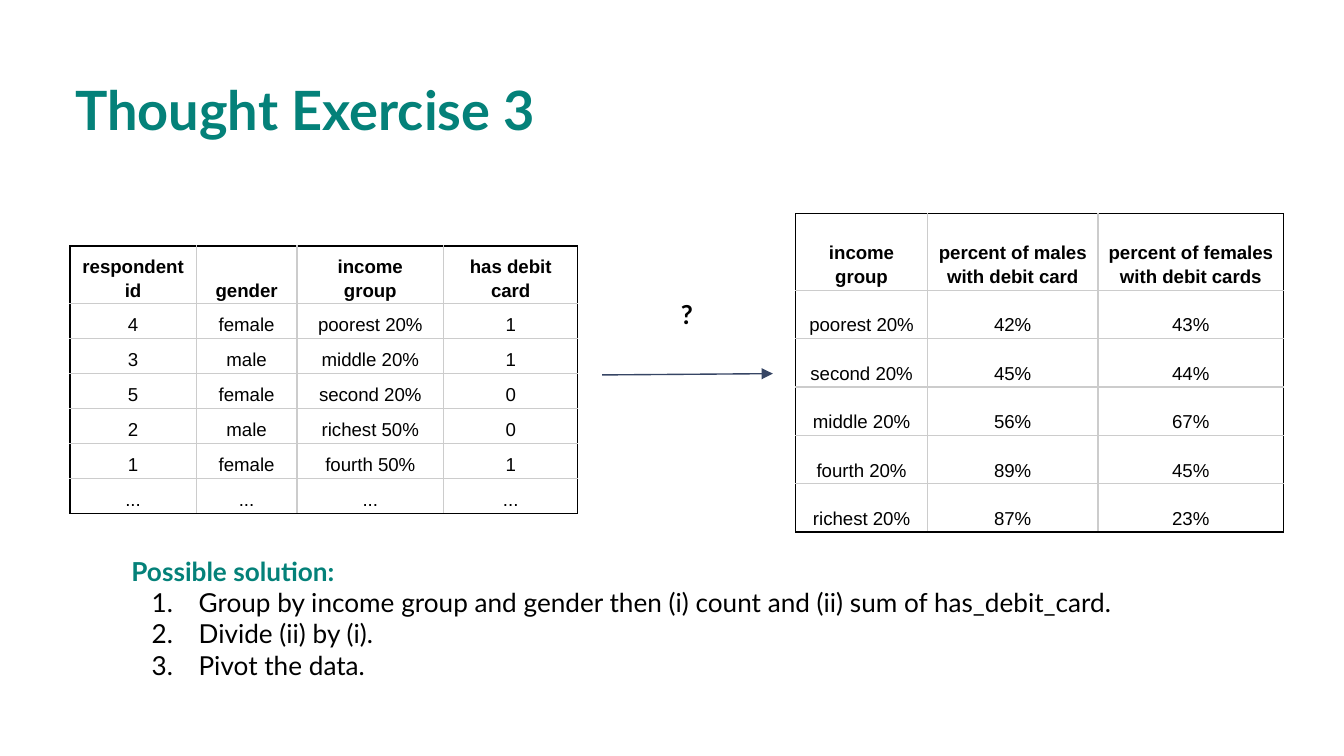
"""Build the Thought Exercise 3 slide: two tables, an arrow and a solution."""
import lxml.etree
import pptx
import pptx.dml.color
import pptx.enum.shapes
import pptx.enum.text
import pptx.oxml.ns
import pptx.util

Inches = pptx.util.Inches
Pt = pptx.util.Pt
ALIGN = pptx.enum.text.PP_ALIGN
ANCHOR = pptx.enum.text.MSO_ANCHOR

THEME = {
    "teal": "048179", "black": "000000", "grid": "CCCCCC", "arrow": "364564",
    "head_font": "Lato", "table_font": "Arial",
    "title": 29, "body": 14, "cell": 10, "line": 0.75,
}
SLIDE_WIDTH = 10
SLIDE_HEIGHT = SLIDE_WIDTH * 9 / 16
TITLE = "Thought Exercise 3"
TABLES = [
    {
        "at": (0.52, 1.83), "cols": [0.94, 0.75, 1.09, 1], "heights": (0.43, 0.26),
        "rows": [
            ("respondent id", "gender", "income\ngroup", "has debit\ncard"),
            ("4", "female", "poorest 20%", "1"),
            ("3", "male", "middle 20%", "1"),
            ("5", "female", "second 20%", "0"),
            ("2", "male", "richest 50%", "0"),
            ("1", "female", "fourth 50%", "1"),
            ("...", "...", "...", "..."),
        ],
    },
    {
        "at": (5.92, 1.59), "cols": [0.98, 1.27, 1.38], "heights": (0.57, 0.36),
        "rows": [
            ("income\ngroup", "percent of males with debit card",
             "percent of females with debit cards"),
            ("poorest 20%", "42%", "43%"),
            ("second 20%", "45%", "44%"),
            ("middle 20%", "56%", "67%"),
            ("fourth 20%", "89%", "45%"),
            ("richest 20%", "87%", "23%"),
        ],
    },
]
SOLUTION = "Possible solution:"
STEPS = [
    "Group by income group and gender then (i) count and (ii) sum of has_debit_card.",
    "Divide (ii) by (i).",
    "Pivot the data.",
]


def rgb(name):
    return pptx.dml.color.RGBColor.from_string(THEME[name])


def add_xml(parent, tag, **attributes):
    return lxml.etree.SubElement(parent, pptx.oxml.ns.qn(f"a:{tag}"), attributes)


def add_run(p, text, size, font="head_font", color="black", bold=False):
    r = p.add_run()
    r.text = text
    r.font.name = THEME[font]
    r.font.size = Pt(THEME[size])
    r.font.bold = bold
    r.font.color.rgb = rgb(color)


def format_frame(sp, box):
    sp.left, sp.top, sp.width, sp.height = map(Inches, box)
    tf = sp.text_frame
    tf.word_wrap = True
    tf.auto_size = pptx.enum.text.MSO_AUTO_SIZE.SHAPE_TO_FIT_TEXT
    tf.vertical_anchor = ANCHOR.TOP
    tf.margin_left = tf.margin_right = tf.margin_top = tf.margin_bottom = Inches(0.1)
    return tf


def add_text_box(s, box):
    return format_frame(s.shapes.add_textbox(0, 0, 0, 0), box)


def format_cell(cell, text, header, outer):
    cell.vertical_anchor = ANCHOR.BOTTOM
    cell.margin_left = cell.margin_right = Inches(0.03)
    cell.margin_top = cell.margin_bottom = Inches(0.02)
    tf = cell.text_frame
    for i, line in enumerate(text.split("\n")):
        p = tf.add_paragraph() if i else tf.paragraphs[0]
        p.alignment = ALIGN.CENTER
        p.line_spacing = 1.15
        add_run(p, line, "cell", "table_font", bold=header)
    tcPr = cell._tc.get_or_add_tcPr()
    for side in "LRTB":
        border = add_xml(tcPr, f"ln{side}", w=str(Pt(THEME["line"])))
        color = THEME["black" if outer[side] else "grid"]
        add_xml(add_xml(border, "solidFill"), "srgbClr", val=color)
    cell.fill.background()


def add_data_table(s, at, cols, heights, rows):
    row_heights = [heights[0]] + [heights[1]] * (len(rows) - 1)
    box = (*at, sum(cols), sum(row_heights))
    tbl = s.shapes.add_table(len(rows), len(cols), *map(Inches, box)).table
    tbl.first_row = tbl.horz_banding = False
    for col, width in zip(tbl.columns, cols):
        col.width = Inches(width)
    for i, (row, height) in enumerate(zip(rows, row_heights)):
        tbl.rows[i].height = Inches(height)
        for j, text in enumerate(row):
            outer = {"L": j == 0, "R": j == len(cols) - 1,
                     "T": i == 0, "B": i == len(rows) - 1}
            format_cell(tbl.cell(i, j), text, i == 0, outer)


def add_arrow(s, start, end):
    arrow = s.shapes.add_connector(pptx.enum.shapes.MSO_CONNECTOR.STRAIGHT,
                                   *map(Inches, (*start, *end)))
    arrow.line.color.rgb = rgb("arrow")
    arrow.line.width = Pt(THEME["line"])
    spPr = arrow._element.spPr
    add_xml(spPr.find(pptx.oxml.ns.qn("a:ln")), "tailEnd", type="triangle")
    add_xml(spPr, "effectLst")


def add_solution(s):
    tf = add_text_box(s, (0.88, 4.03, 8.24, 1.14))
    add_run(tf.paragraphs[0], SOLUTION, "body", color="teal", bold=True)
    for step in STEPS:
        p = tf.add_paragraph()
        pPr = p._p.get_or_add_pPr()
        pPr.set("marL", str(Inches(0.5)))
        pPr.set("indent", str(Inches(-0.35)))
        add_xml(add_xml(pPr, "buClr"), "srgbClr", val=THEME["black"])
        add_xml(pPr, "buFont", typeface=THEME["head_font"])
        add_xml(pPr, "buAutoNum", type="arabicPeriod")
        add_run(p, step, "body")


def main():
    prs = pptx.Presentation()
    prs.slide_width, prs.slide_height = Inches(SLIDE_WIDTH), Inches(SLIDE_HEIGHT)
    s = prs.slides.add_slide(prs.slide_layouts[5])
    p = format_frame(s.shapes.title, (0.46, 0.47, 6.19, 0.69)).paragraphs[0]
    p.alignment = ALIGN.LEFT
    add_run(p, TITLE, "title", color="teal", bold=True)
    add_arrow(s, (4.48, 2.79), (5.75, 2.78))
    p = add_text_box(s, (4.87, 2.12, 0.48, 0.44)).paragraphs[0]
    p.alignment = ALIGN.CENTER
    add_run(p, "?", "body", bold=True)
    for table in TABLES:
        add_data_table(s, **table)
    add_solution(s)
    prs.save("out.pptx")


if __name__ == "__main__":
    main()
